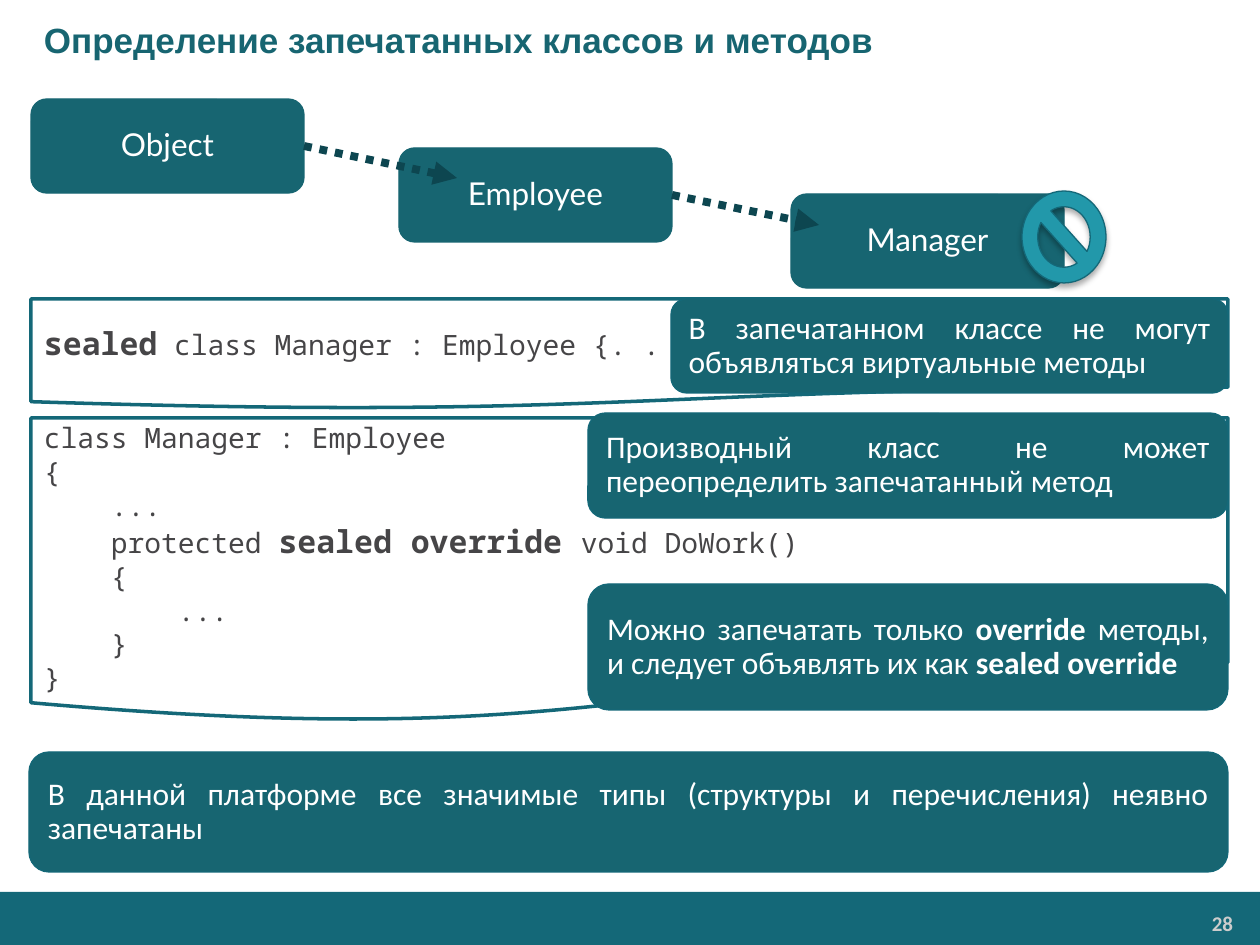
import pptx
import pptx.dml.color
import pptx.enum.dml
import pptx.enum.shapes
import pptx.enum.text
import pptx.oxml
import pptx.oxml.ns
import pptx.util

RGBColor = pptx.dml.color.RGBColor
PRESET = pptx.enum.shapes.MSO_SHAPE
ALIGN = pptx.enum.text.PP_ALIGN
ANCHOR = pptx.enum.text.MSO_ANCHOR

TEAL = RGBColor(0x17, 0x65, 0x71)
EDGE = RGBColor(0x14, 0x68, 0x78)
SIGN = RGBColor(0x22, 0x98, 0xAA)
ARROW = RGBColor(0x0D, 0x46, 0x50)
CODE = RGBColor(0x46, 0x45, 0x47)
WHITE = RGBColor(0xFF, 0xFF, 0xFF)
GREY = RGBColor(0xCC, 0xCC, 0xCC)

PX_PER_INCH = 126
WIDTH, HEIGHT = 1260, 945

SEALED_CLASS = [[("sealed", True), (" class Manager : Employee {. . .}", False)]]
SEALED_METHOD = [
    "class Manager : Employee",
    "{",
    "    ...",
    [("    protected ", False), ("sealed override ", True), ("void DoWork()", False)],
    "    {",
    "        ...",
    "    }",
    "}",
]
ONLY_OVERRIDE = [[
    ("Можно запечатать только ", False),
    ("override", True),
    (" методы, и следует объявлять их как ", False),
    ("sealed override", True),
]]


def px(length):
    return pptx.util.Emu(round(length * 914400 / PX_PER_INCH))


def write(holder, paragraphs, size=18, bold_size=None, font="Calibri", color=WHITE, bold=False,
          align=ALIGN.LEFT, anchor=ANCHOR.MIDDLE, spacing=1.0, insets=(13, 6, 13, 6)):
    frame = holder.text_frame
    frame.word_wrap = True
    frame.vertical_anchor = anchor
    frame.margin_left, frame.margin_top, frame.margin_right, frame.margin_bottom = map(px, insets)
    for index, content in enumerate(paragraphs):
        paragraph = frame.add_paragraph() if index else frame.paragraphs[0]
        paragraph.alignment = align
        paragraph.line_spacing = spacing
        pieces = [(content, bold)] if isinstance(content, str) else content
        for words, strong in pieces:
            run = paragraph.add_run()
            run.text = words
            run.font.name = font
            run.font.size = pptx.util.Pt(bold_size if strong and bold_size else size)
            run.font.bold = strong
            run.font.color.rgb = color


def add_panel(slide, preset, box, fill, edge=None, edge_width=0.75):
    panel = slide.shapes.add_shape(preset, *map(px, box))
    panel.shadow.inherit = False
    panel.fill.solid()
    panel.fill.fore_color.rgb = fill
    if edge is None:
        panel.line.fill.background()
    else:
        panel.line.color.rgb = edge
        panel.line.width = pptx.util.Pt(edge_width)
    return panel


def add_title(slide, box):
    title = slide.shapes.add_textbox(*map(px, box))
    write(title, ["Определение запечатанных классов и методов"], size=20, font="Arial",
          color=TEAL, bold=True, insets=(44, 6, 13, 6))


def add_footer(slide, box):
    left, top, width, height = box
    add_panel(slide, PRESET.RECTANGLE, box, EDGE)
    number = slide.shapes.add_textbox(*map(px, (left + width - 223, top + 14, 205, 35)))
    write(number, ["28"], size=12, color=GREY, bold=True, align=ALIGN.RIGHT, insets=(9, 5, 9, 5))


def add_class(slide, box, label):
    node = add_panel(slide, PRESET.ROUNDED_RECTANGLE, box, TEAL, TEAL)
    write(node, [label], font="Lato", align=ALIGN.CENTER, spacing=0.9)


def add_code(slide, box, lines, **text_format):
    sheet = add_panel(slide, PRESET.FLOWCHART_DOCUMENT, box, WHITE, EDGE, 2)
    write(sheet, lines, size=16, bold_size=18, font="Noto Sans Mono", color=CODE, **text_format)


def add_note(slide, box, paragraphs):
    note = add_panel(slide, PRESET.ROUNDED_RECTANGLE, box, TEAL, EDGE)
    write(note, paragraphs, align=ALIGN.JUSTIFY, spacing=0.9)


def add_ban(slide, box):
    ban = add_panel(slide, PRESET.NO_SYMBOL, box, SIGN, EDGE)
    effects = ban._element.spPr.find(pptx.oxml.ns.qn("a:effectLst"))
    effects.append(pptx.oxml.parse_xml(
        f'<a:outerShdw {pptx.oxml.ns.nsdecls("a")} blurRad="44450" dist="27940" dir="5400000">'
        '<a:srgbClr val="000000"><a:alpha val="32000"/></a:srgbClr></a:outerShdw>'))


def add_inheritance(slide, start, end):
    arrow = slide.shapes.add_connector(
        pptx.enum.shapes.MSO_CONNECTOR.STRAIGHT, *map(px, start + end))
    arrow.line.color.rgb = ARROW
    arrow.line.width = pptx.util.Pt(4.5)
    arrow.line.dash_style = pptx.enum.dml.MSO_LINE.ROUND_DOT
    namespace = pptx.oxml.ns.nsdecls("a")
    arrow.line._get_or_add_ln().append(
        pptx.oxml.parse_xml(f'<a:tailEnd {namespace} type="triangle"/>'))
    arrow._element.spPr.append(pptx.oxml.parse_xml(f"<a:effectLst {namespace}/>"))


def add_hierarchy(slide, box):
    left, top, width, height = box
    node_width, node_height = 273, 94
    for label, x, y in (("Object", 0, 0), ("Employee", 368, 49), ("Manager", 760, 95)):
        add_class(slide, (left + x, top + y, node_width, node_height), label)
    add_ban(slide, (left + width - 84, top + 92, 84, 92))
    add_inheritance(slide, (left + 273, top + 47), (left + 426, top + 79))
    add_inheritance(slide, (left + 641, top + 96), (left + 788, top + 126))


def add_sealed_class(slide, box):
    left, top, width, height = box
    add_code(slide, box, SEALED_CLASS)
    add_note(slide, (left + width - 557, top, 557, 94),
             ["В запечатанном классе не могут объявляться виртуальные методы"])


def add_sealed_method(slide, box):
    left, top, width, height = box
    note_width = 640
    note_left = left + width - note_width
    add_code(slide, box, SEALED_METHOD, anchor=ANCHOR.TOP, insets=(13, 3, 13, 0))
    add_note(slide, (note_left, top - 5, note_width, 105),
             ["Производный класс не может переопределить запечатанный метод"])
    add_note(slide, (note_left, top + 166, note_width, 126), ONLY_OVERRIDE)


def main():
    deck = pptx.Presentation()
    deck.slide_width, deck.slide_height = px(WIDTH), px(HEIGHT)
    slide = deck.slides.add_slide(deck.slide_layouts[6])
    add_footer(slide, (0, 892, WIDTH, 53))
    add_title(slide, (0, 0, WIDTH, 79))
    add_hierarchy(slide, (31, 99, 1075, 189))
    add_sealed_class(slide, (31, 299, 1197, 110))
    add_sealed_method(slide, (31, 418, 1197, 305))
    add_note(slide, (29, 752, 1199, 120),
             ["В данной платформе все значимые типы (структуры и перечисления) неявно запечатаны"])
    deck.save("out.pptx")


if __name__ == "__main__":
    main()
